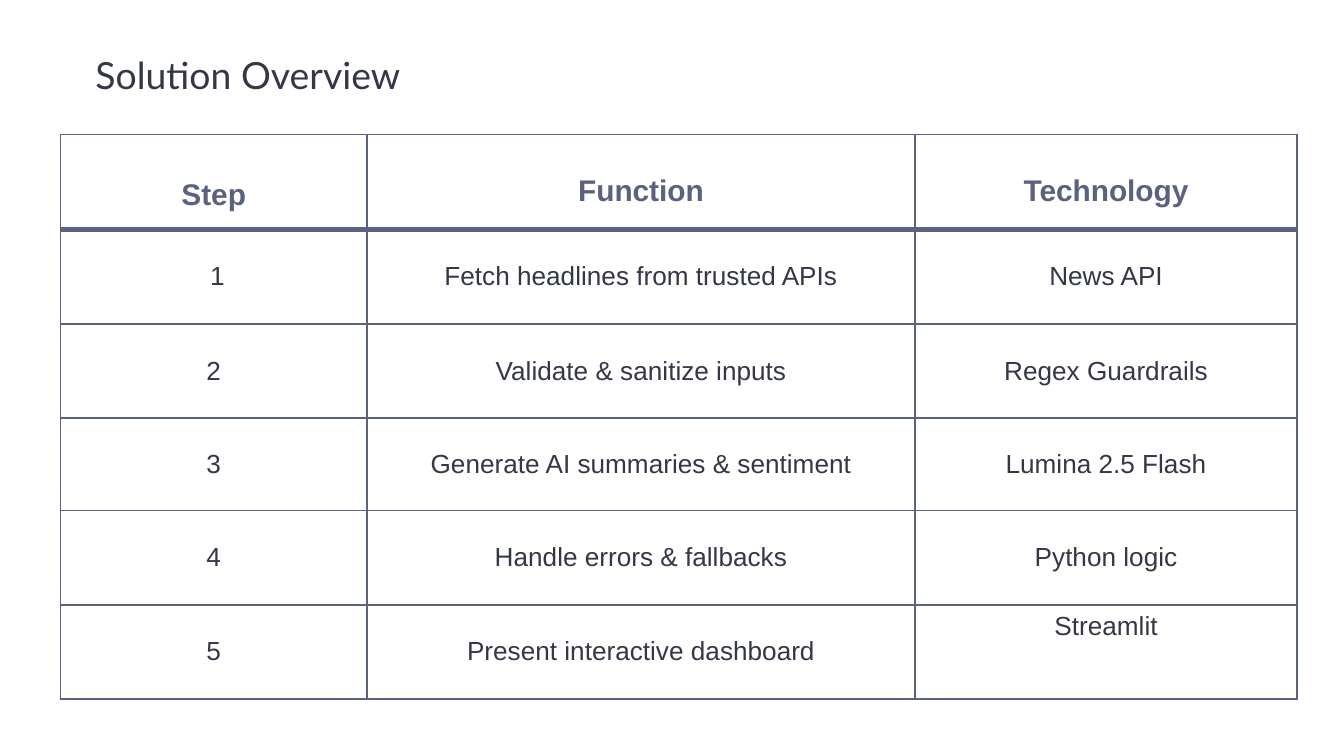
from dataclasses import dataclass

from lxml import etree
from pptx import Presentation
from pptx.dml.color import RGBColor
from pptx.enum.text import MSO_ANCHOR, PP_ALIGN
from pptx.oxml.ns import qn
from pptx.util import Inches, Pt

LEFT, CENTER = PP_ALIGN.LEFT, PP_ALIGN.CENTER
TOP, MIDDLE = MSO_ANCHOR.TOP, MSO_ANCHOR.MIDDLE
INK, SLATE, WHITE = "333746", "5B627D", "FFFFFF"
TITLE_ONLY = 5
WIDE = 10
TALL = WIDE * 9 / 16
COLS = (2.28, 4.08, 2.84)
ROWS = (0.71, 0.7, 0.7, 0.69, 0.7, 0.7)


@dataclass
class Entry:
    text: str
    anchor: MSO_ANCHOR = MIDDLE
    pad: float = 0  # top margin in inches


GRID = [
    [Entry("Step", pad=0.19), Entry("Function", TOP, 0.3),
     Entry("Technology", TOP, 0.3)],
    [Entry(" 1"), Entry("Fetch headlines from trusted APIs"), Entry("News API")],
    [Entry("2"), Entry("Validate & sanitize inputs"), Entry("Regex Guardrails")],
    [Entry("3"), Entry("Generate AI summaries & sentiment"),
     Entry("Lumina 2.5 Flash")],
    [Entry("4"), Entry("Handle errors & fallbacks"), Entry("Python logic")],
    [Entry("5"), Entry("Present interactive dashboard"),
     Entry("Streamlit", TOP, 0.05)],
]


def color(code: str) -> RGBColor:
    return RGBColor.from_string(code)


def style(para, face: str, size: int, code: str, bold: bool = False) -> None:
    for run in para.runs:
        font = run.font
        font.name, font.size, font.bold = face, Pt(size), bold
        font.color.rgb = color(code)


def border(cell, side: str, width: float) -> None:
    props = cell._tc.get_or_add_tcPr()
    line = etree.SubElement(props, qn(f"a:ln{side}"), w=str(Pt(width)))
    fill = etree.SubElement(line, qn("a:solidFill"))
    etree.SubElement(fill, qn("a:srgbClr"), val=SLATE)


def fill_cell(cell, entry: Entry, row: int) -> None:
    head = row == 0
    cell.text_frame.text = entry.text
    para = cell.text_frame.paragraphs[0]
    para.alignment = CENTER
    style(para, "Arial", 16 if head else 14, SLATE if head else INK, head)
    cell.vertical_anchor = entry.anchor
    cell.margin_left = cell.margin_right = cell.margin_bottom = 0
    cell.margin_top = Inches(entry.pad)
    widths = {"L": 1, "R": 1, "T": 3 if row == 1 else 1, "B": 3 if head else 1}
    for side, width in widths.items():
        border(cell, side, width)
    cell.fill.solid()
    cell.fill.fore_color.rgb = color(WHITE)


def add_title(slide, text: str) -> None:
    title = slide.shapes.title
    title.left, title.top = Inches(0.45), Inches(0.16)
    title.width, title.height = Inches(8.76), Inches(0.74)
    frame = title.text_frame
    frame.text = text
    frame.vertical_anchor = MIDDLE
    frame.margin_left = Inches(0.26)
    frame.margin_top = frame.margin_right = frame.margin_bottom = Inches(0.1)
    para = frame.paragraphs[0]
    para.alignment, para.line_spacing = LEFT, 1.15
    style(para, "Lato", 20, INK)


def add_steps(slide) -> None:
    frame = slide.shapes.add_table(
        len(ROWS), len(COLS), Inches(0.45), Inches(1),
        Inches(sum(COLS)), Inches(sum(ROWS)))
    table = frame.table
    table.first_row = table.horz_banding = False
    for col, width in zip(table.columns, COLS):
        col.width = Inches(width)
    for row, (height, entries) in enumerate(zip(ROWS, GRID)):
        table.rows[row].height = Inches(height)
        for col, entry in enumerate(entries):
            fill_cell(table.cell(row, col), entry, row)


def main() -> None:
    deck = Presentation()
    deck.slide_width, deck.slide_height = Inches(WIDE), Inches(TALL)
    slide = deck.slides.add_slide(deck.slide_layouts[TITLE_ONLY])
    add_title(slide, "Solution Overview")
    add_steps(slide)
    deck.save("out.pptx")


if __name__ == "__main__":
    main()
